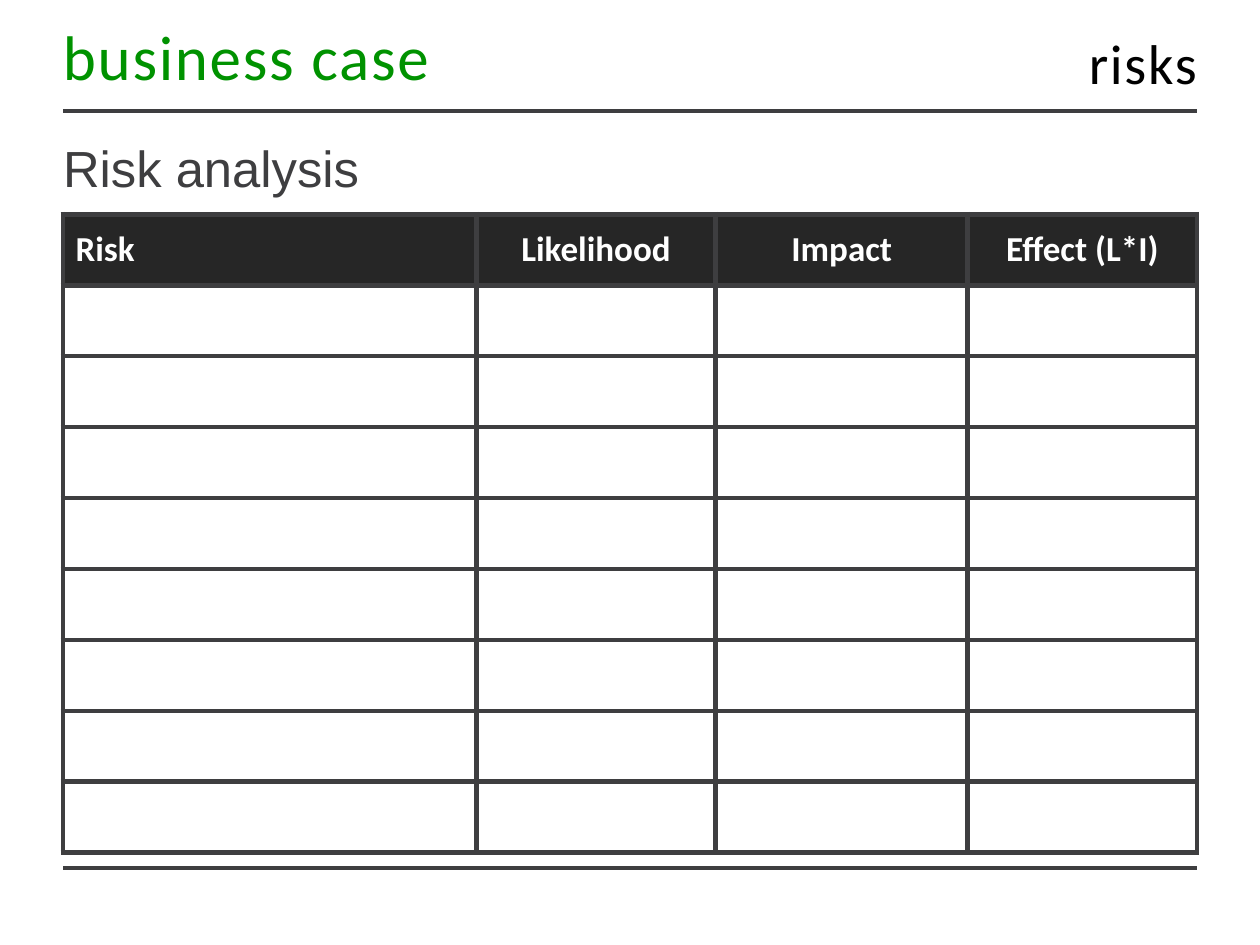
from lxml import etree
from pptx import Presentation
from pptx import util as u
from pptx.dml.color import RGBColor
from pptx.enum import shapes, text
from pptx.oxml import ns

COLORS = {"green": "009200", "gray": "3E3E40", "header": "262626",
          "white": "FFFFFF", "black": "000000"}
LEFT, WIDTH = u.Cm(1.27), u.Cm(22.86)


def color(name):
    return RGBColor.from_string(COLORS[name])


def write(frame, content, font, size, color_name, align, spacing=0):
    frame.text = content
    paragraph = frame.paragraphs[0]
    paragraph.alignment = align
    run = paragraph.runs[0]
    run.font.name = font
    run.font.size = u.Pt(size)
    run.font.color.rgb = color(color_name)
    if spacing:
        run.font._element.set("spc", str(spacing * 100))
    return run


presentation = Presentation()
presentation.slide_width, presentation.slide_height = u.Cm(25.4), u.Cm(19.05)
slide = presentation.slides.add_slide(presentation.slide_layouts[5])

# Rules at the top and bottom of the page
for y in (u.Cm(2.24), u.Cm(17.5)):
    rule = slide.shapes.add_connector(
        shapes.MSO_CONNECTOR.STRAIGHT, LEFT, y, LEFT + WIDTH, y)
    rule.line.color.rgb = color("gray")
    rule.line.width = u.Pt(2.25)
    etree.SubElement(rule._element.spPr, ns.qn("a:effectLst"))

# Section name, topic and title
section = slide.shapes.add_textbox(LEFT, u.Cm(0.36), u.Cm(7.49), u.Cm(1.55))
topic = slide.shapes.add_textbox(u.Cm(13.34), u.Cm(0.58), u.Cm(10.79), u.Cm(1.35))
title = slide.shapes.title
title.left, title.top, title.width, title.height = LEFT, u.Cm(2.59), WIDTH, u.Cm(1.57)

ALIGN, ANCHOR = text.PP_ALIGN, text.MSO_ANCHOR
headings = [
    (section, "business case", "Calibri", 36, "green", ALIGN.JUSTIFY, 1, ANCHOR.TOP),
    (topic, "risks", "Calibri", 32, "black", ALIGN.RIGHT, 1, ANCHOR.MIDDLE),
    (title, "Risk analysis", "Arial", 29, "gray", ALIGN.LEFT, 0, ANCHOR.MIDDLE),
]
for shape, content, font, size, color_name, align, spacing, anchor in headings:
    frame = shape.text_frame
    frame.margin_left = frame.margin_right = frame.margin_top = frame.margin_bottom = 0
    frame.word_wrap = shape is not section
    frame.auto_size = text.MSO_AUTO_SIZE.NONE
    frame.vertical_anchor = anchor
    write(frame, content, font, size, color_name, align, spacing)

# Risk table: header row and eight empty rows
columns = [("Risk", 8.33), ("Likelihood", 4.83), ("Impact", 5.08), ("Effect (L*I)", 4.62)]
row_count, row_height = 9, u.Cm(1.43)
table = slide.shapes.add_table(row_count, len(columns), LEFT, u.Cm(4.32),
                               WIDTH, row_height * row_count).table
for row in table.rows:
    row.height = row_height
for column, (label, width) in zip(table.columns, columns):
    column.width = u.Cm(width)

for row_index, row in enumerate(table.rows):
    for column_index, cell in enumerate(row.cells):
        properties = cell._tc.get_or_add_tcPr()
        for side in ("lnL", "lnR", "lnT", "lnB"):
            border = etree.SubElement(properties, ns.qn(f"a:{side}"), w=str(u.Pt(3)))
            fill = etree.SubElement(border, ns.qn("a:solidFill"))
            etree.SubElement(fill, ns.qn("a:srgbClr"), val=COLORS["gray"])
        cell.fill.solid()
        cell.fill.fore_color.rgb = color("white" if row_index else "header")
        cell.vertical_anchor = ANCHOR.MIDDLE
        if row_index == 0:
            align = ALIGN.CENTER if column_index else ALIGN.LEFT
            run = write(cell.text_frame, columns[column_index][0],
                        "Calibri", 20, "white", align)
            run.font.bold = True

presentation.save("out.pptx")
